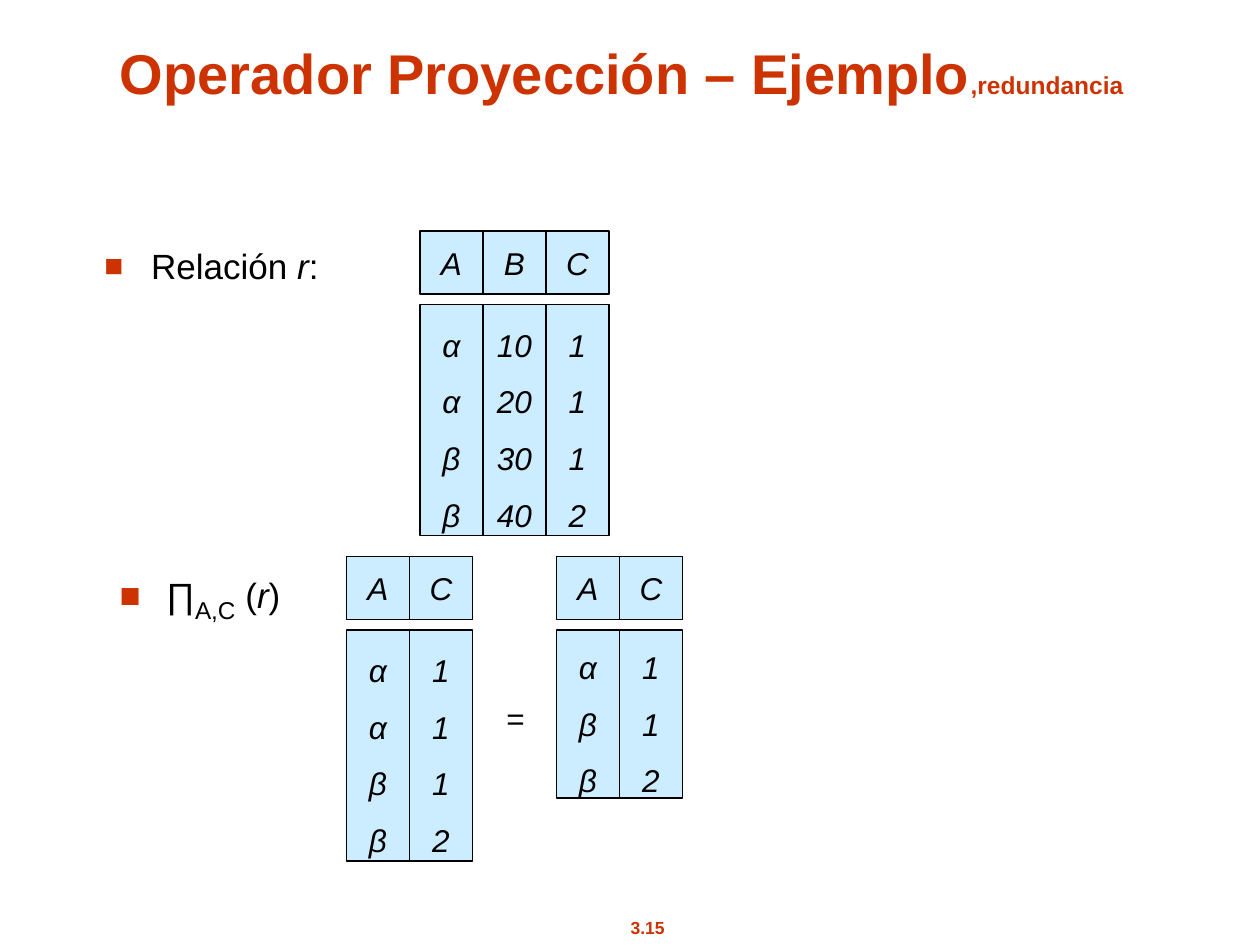
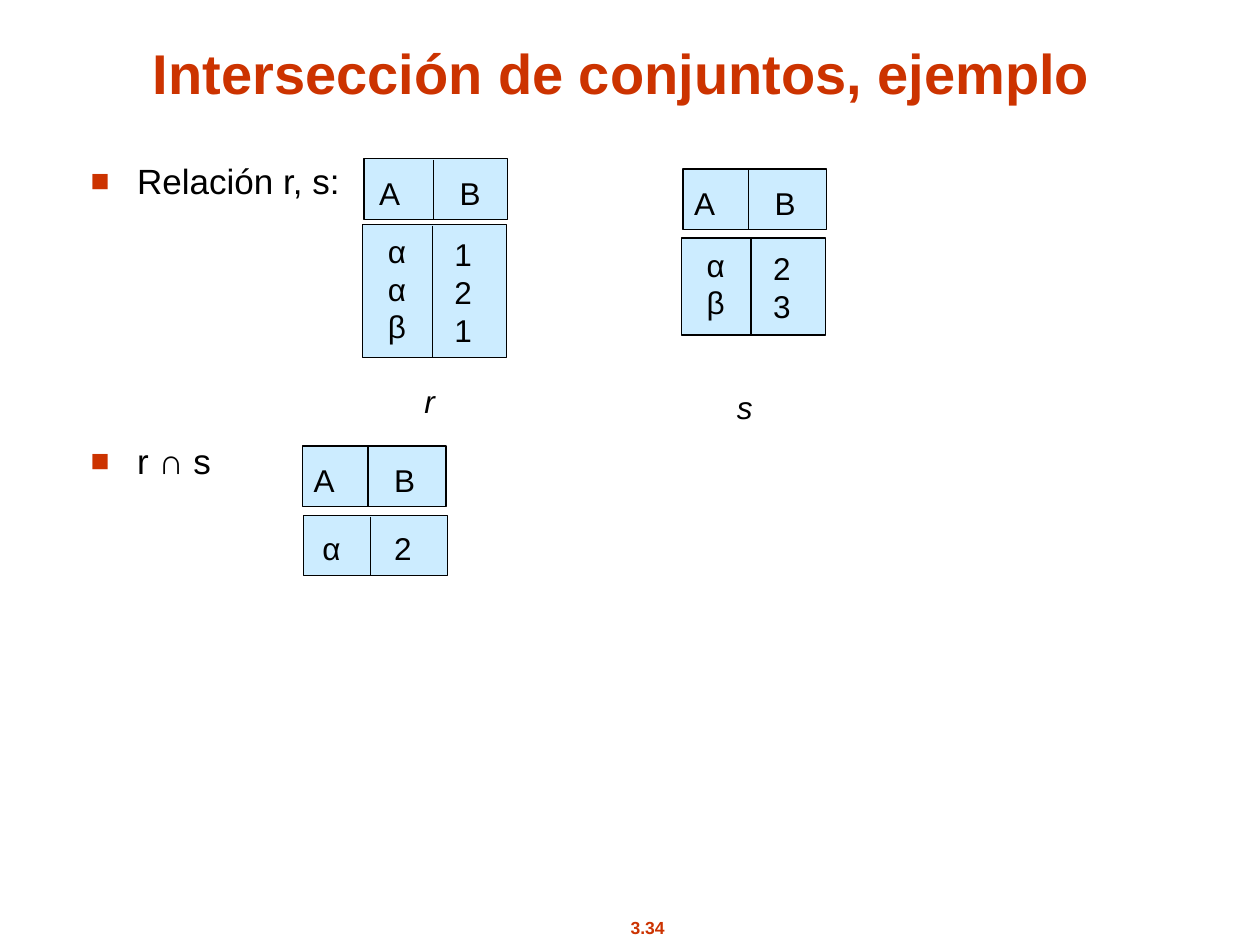
from dataclasses import dataclass

from lxml.etree import SubElement
from pptx import Presentation
from pptx.dml.color import RGBColor as RGB
from pptx.enum.shapes import MSO_CONNECTOR as Connector, MSO_SHAPE as Shape
from pptx.enum.text import MSO_ANCHOR as Anchor, PP_ALIGN as Align
from pptx.oxml.ns import qn
from pptx.util import Inches, Pt


@dataclass(frozen=True)
class Theme:
    font: str = "Arial"
    accent: RGB = RGB.from_string("CC3300")
    ink: RGB = RGB.from_string("000000")
    cell: RGB = RGB.from_string("CCECFF")
    title: int = 32
    title_note: int = 14
    body: int = 20
    subscript: int = 24
    value: int = 18
    footer: int = 10
    rule: float = 0.75
    indent: float = 0.37


class Deck:
    """Holds the theme and the current slide; lengths are cells of a 120 x 90 grid."""

    COLUMNS, ROWS = 120, 90

    def __init__(self, theme):
        self.theme = theme
        self.show = Presentation()
        self.show.slide_width, self.show.slide_height = Inches(10), Inches(7.5)
        self.slide = None

    def place(self, *lengths):
        """Turn alternating column and row lengths into slide units."""
        units = (self.show.slide_width / self.COLUMNS, self.show.slide_height / self.ROWS)
        return [round(length * units[i % 2]) for i, length in enumerate(lengths)]

    def new_slide(self, title, number):
        self.slide = self.show.slides.add_slide(self.show.slide_layouts[6])
        t = self.theme
        accent = dict(bold=True, color=t.accent)
        self.text((55.8, 86.76, 11.76, 3.24), [[(number, {})]], wrap=False,
                  size=t.footer, **accent)
        self.text((6.24, 2.64, 105.96, 8.04), [title], anchor=Anchor.BOTTOM,
                  size=t.title, **accent)

    def fill_frame(self, frame, paragraphs, align=Align.CENTER, anchor=Anchor.TOP,
                   wrap=True, spacing=None, **style):
        """Fill a frame; each paragraph is a list of (text, style changes) runs."""
        frame.word_wrap, frame.vertical_anchor = wrap, anchor
        base = dict(name=self.theme.font, size=self.theme.value,
                    color=self.theme.ink) | style
        for i, runs in enumerate(paragraphs):
            paragraph = frame.paragraphs[0] if i == 0 else frame.add_paragraph()
            paragraph.alignment = align
            if spacing:
                paragraph.line_spacing = spacing
            for words, changes in runs:
                run = paragraph.add_run()
                run.text = words
                self.style_run(run, base | changes)

    @staticmethod
    def style_run(run, values):
        for key, value in values.items():
            if key == "color":
                run.font.color.rgb = value
            elif key == "baseline":
                run.font._element.set("baseline", str(value * 1000))
            else:
                setattr(run.font, key, Pt(value) if key == "size" else value)

    def text(self, box, paragraphs, **style):
        frame = self.slide.shapes.add_textbox(*self.place(*box)).text_frame
        self.fill_frame(frame, paragraphs, **style)
        return frame

    def bullets(self, box, paragraphs, gap=0, mark_share=90):
        """Add square-marked paragraphs; gap is the space between them in points."""
        t = self.theme
        frame = self.text(box, paragraphs, align=Align.LEFT, size=t.body)
        for i, paragraph in enumerate(frame.paragraphs):
            if i:
                paragraph.space_before = Pt(gap)
            props = paragraph._p.get_or_add_pPr()
            props.set("marL", str(Inches(t.indent)))
            props.set("indent", str(-Inches(t.indent)))
            color = SubElement(props, qn("a:buClr"))
            SubElement(color, qn("a:srgbClr"), val=str(t.accent))
            SubElement(props, qn("a:buSzPct"), val=str(mark_share * 1000))
            SubElement(props, qn("a:buFont"), typeface=t.font)
            SubElement(props, qn("a:buChar"), char="■")

    def cell(self, box, lines=(), **style):
        rect = self.slide.shapes.add_shape(Shape.RECTANGLE, *self.place(*box))
        rect.shadow.inherit = False
        rect.fill.solid()
        rect.fill.fore_color.rgb = self.theme.cell
        self.ink_line(rect.line)
        self.fill_frame(rect.text_frame, [[(line, {})] for line in lines],
                        anchor=Anchor.MIDDLE, wrap=False, italic=True, **style)

    def ink_line(self, line):
        line.color.rgb, line.width = self.theme.ink, Pt(self.theme.rule)

    def divided_cell(self, box, divider):
        left, top, _, height = box
        self.cell(box)
        x, y, _, end = self.place(left + divider, top + 0.12, 0, top + height)
        rule = self.slide.shapes.add_connector(Connector.STRAIGHT, x, y, x, end)
        self.ink_line(rule.line)
        SubElement(rule._element.spPr, qn("a:effectLst"))

    def tabbed(self, box, pair, stop):
        """Put two values on one line, the second at a tab stop in inches."""
        frame = self.text(box, [[("\t".join(pair), {})]], align=Align.LEFT)
        tabs = SubElement(frame.paragraphs[0]._p.get_or_add_pPr(), qn("a:tabLst"))
        SubElement(tabs, qn("a:tab"), pos=str(Inches(stop)), algn="l")

    def relation(self, left, top, attributes):
        """Draw attributes side by side, each a head cell over a cell of values."""
        side, gap = 6, 1
        for i, (name, values) in enumerate(attributes.items()):
            self.cell((left + i * side, top, side, side), [name])
            self.cell((left + i * side, top + side + gap, side, 6 * len(values) - 2),
                      values, spacing=1.5)

    def pair_head(self, left, top, divider, text_shift):
        self.divided_cell((left, top, 13.68, 5.76), divider)
        self.tabbed((left + text_shift, top + 0.84, 12.24, 4.8), "AB", 0.64)

    def pair_body(self, left, top, height, divider, columns):
        self.divided_cell((left, top, 13.68, height), divider)
        shifts = ((1.08, 0.12, 4.32), (7.5, 0.48, 4.08))
        for values, (right, down, width) in zip(columns, shifts):
            self.text((left + right, top + down, width, 3.6 * len(values) + 1.2),
                      [[(value, {})] for value in values], wrap=False)


def projection(deck):
    t, italic = deck.theme, dict(italic=True)
    deck.new_slide([("Operador Proyección – Ejemplo", {}),
                    (",redundancia", dict(size=t.title_note))], "3.15")
    deck.bullets((8.76, 22.68, 92.28, 5.4),
                 [[("Relación", {}), (" r", italic), (":", {})]])
    letters = "ααββ"
    deck.relation(40, 22, {"A": letters, "B": ["10", "20", "30", "40"], "C": "1112"})
    deck.relation(33, 53, {"A": letters, "C": "1112"})
    deck.text((47.04, 66, 4.08, 4.8), [[("=", {})]], anchor=Anchor.MIDDLE, wrap=False)
    deck.relation(53, 53, {"A": "αββ", "C": "112"})
    deck.bullets((10.2, 53.4, 92.28, 5.4),
                 [[("∏", {}), ("A,C", dict(size=t.subscript, baseline=-25)),
                   (" (", {}), ("r", italic), (")", {})]], mark_share=100)


def intersection(deck):
    deck.new_slide([("Intersección de conjuntos, ejemplo", {})], "3.34")
    deck.bullets((7.44, 14.64, 102.96, 63.96),
                 [[("Relación r, s:", {})], [("r ∩ s", {})]], gap=136)
    deck.pair_head(34.68, 15.12, 6.6, 0.24)
    deck.pair_body(34.56, 21.36, 12.72, 6.6, ("ααβ", "121"))
    deck.pair_head(65.04, 16.08, 6.24, -0.12)
    deck.pair_body(64.92, 22.68, 9.24, 6.6, ("αβ", "23"))
    for name, left, top, width in (("r", 39.24, 35.76, 3.36), ("s", 69, 36.36, 3.84)):
        deck.text((left, top, width, 4.8), [[(name, {})]], wrap=False, italic=True)
    deck.pair_head(28.8, 42.48, 6.24, -0.12)
    deck.divided_cell((28.92, 49.08, 13.68, 5.76), 6.36)
    deck.tabbed((29.52, 49.8, 10.92, 4.8), "α2", 0.57)


def main():
    deck = Deck(Theme())
    projection(deck)
    intersection(deck)
    deck.show.save("out.pptx")


if __name__ == "__main__":
    main()
